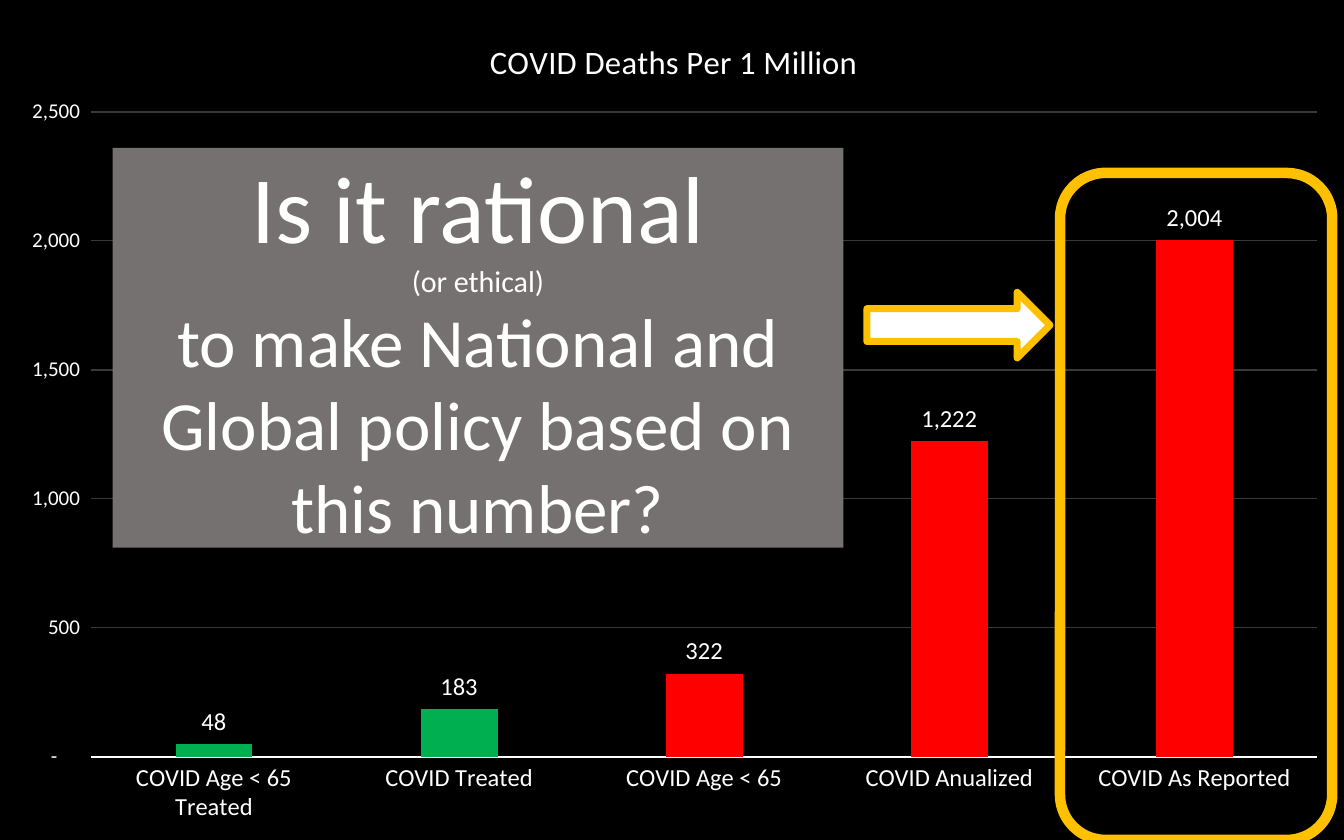
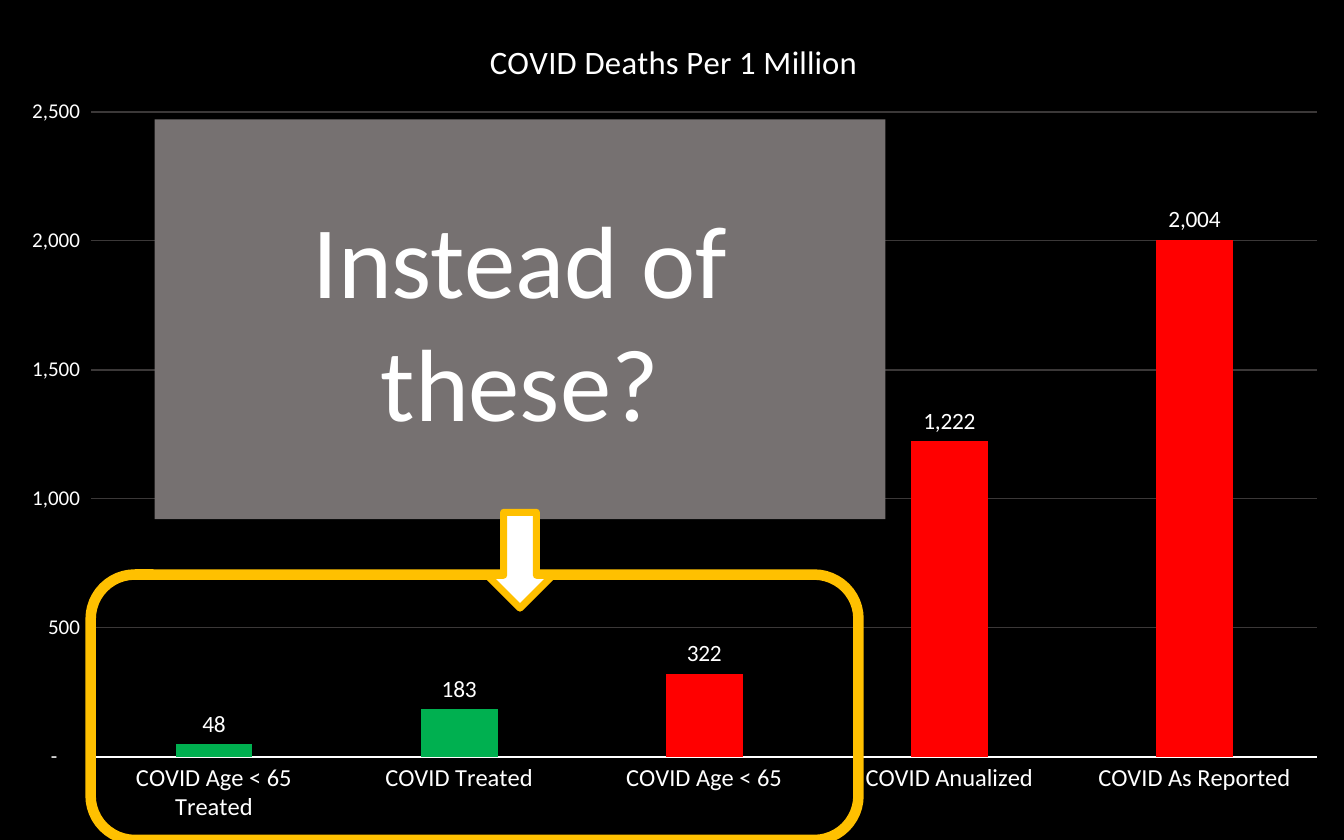
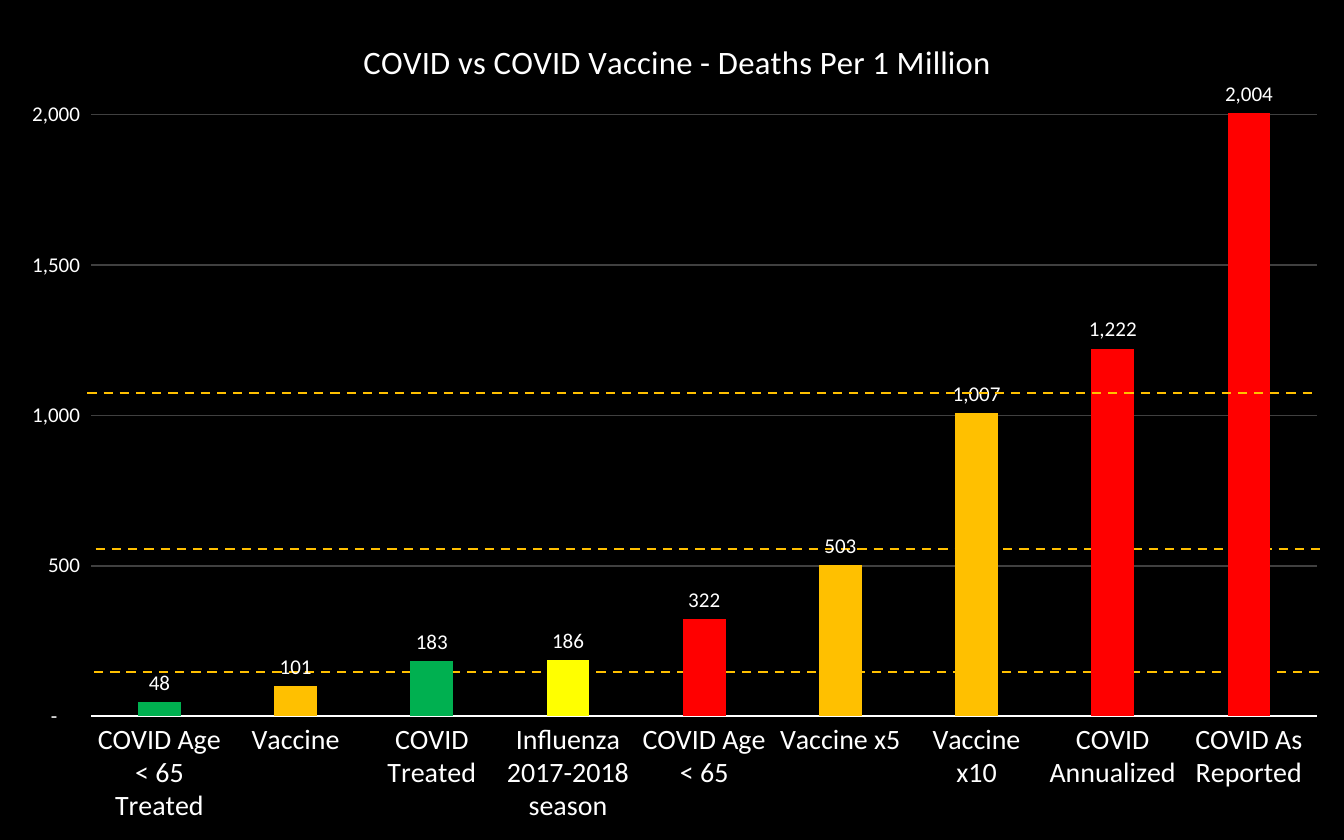
"""Three dark slides of column charts with call-outs."""
from dataclasses import dataclass, replace

from pptx import Presentation
from pptx.chart import data
from pptx.dml.color import RGBColor
from pptx.enum import chart as ch, dml, shapes, text
from pptx.oxml import ns, parse_xml
from pptx.util import Inches, Length, Pt

BLACK = RGBColor(0, 0, 0)
WHITE = RGBColor(255, 255, 255)
GREY = RGBColor(0x76, 0x71, 0x71)
DIM = RGBColor(0x3B, 0x38, 0x38)
SLATE = RGBColor(0x40, 0x40, 0x40)
RED = RGBColor(255, 0, 0)
GREEN = RGBColor(0, 0xB0, 0x50)
GOLD = RGBColor(255, 0xC0, 0)
YELLOW = RGBColor(255, 255, 0)
FONT = "Calibri"
COUNT = '_(* #,##0_);_(* \\(#,##0\\);_(* "-"??_);_('
COLS, ROWS = 8, 5
WIDE, HIGH = Inches(8), Inches(5)
KIND = shapes.MSO_SHAPE


@dataclass(frozen=True)
class Bar:
    """One column of a chart."""
    name: str
    value: int
    color: RGBColor = RED


@dataclass(frozen=True)
class Graph:
    """A full-slide column chart; plot and title are shares of its size."""
    title: str
    bars: tuple[Bar, ...]
    top: int
    start: float
    depth: float
    grid: RGBColor = DIM
    names: float = 10.5
    labels: float = 10.5


@dataclass(frozen=True)
class Box:
    """A preset shape placed in grid columns and rows."""
    kind: KIND
    col: float
    row: float
    cols: float
    rows: float
    fill: RGBColor | None = None
    edge: float = 0
    turn: int = 0
    lines: tuple[tuple[str, float], ...] = ()


@dataclass(frozen=True)
class Rule:
    """A dashed level line."""
    col: float
    row: float
    cols: float = 7.31


def across(cols: float) -> Length:
    """Turn columns into a length."""
    return Length(round(WIDE * cols / COLS))


def down(rows: float) -> Length:
    """Turn rows into a length."""
    return Length(round(HIGH * rows / ROWS))


def style(font, size: float, color: RGBColor = WHITE) -> None:
    """Format one font."""
    font.name, font.size, font.bold = FONT, Pt(size), False
    font.color.rgb = color


def write(para, words: str, *, size: float, color: RGBColor = WHITE,
          align=text.PP_ALIGN.CENTER) -> None:
    """Put formatted words in a paragraph."""
    para.alignment = align
    run = para.add_run()
    run.text = words
    style(run.font, size, color)


def layout(**share: float):
    """Make a manual chart layout from shares of the chart."""
    inner = '<c:layoutTarget val="inner"/>' if "w" in share else ""
    modes = "".join(f'<c:{key}Mode val="edge"/>' for key in "xy")
    sizes = "".join(f'<c:{key} val="{val}"/>' for key, val in share.items())
    return parse_xml(f'<c:layout {ns.nsdecls("c")}><c:manualLayout>'
                     f'{inner}{modes}{sizes}</c:manualLayout></c:layout>')


def settle(parent, index: int, **share: float) -> None:
    """Replace the layout of a chart part."""
    for old in parent.findall(ns.qn("c:layout")):
        parent.remove(old)
    parent.insert(index, layout(**share))


def plot(slide, graph: Graph) -> None:
    """Draw a column chart over the whole slide."""
    table = data.CategoryChartData()
    table.categories = [bar.name for bar in graph.bars]
    table.add_series("Series 1", [bar.value for bar in graph.bars])
    chart = slide.shapes.add_chart(ch.XL_CHART_TYPE.COLUMN_CLUSTERED,
                                   0, 0, WIDE, HIGH, table).chart
    style(chart.font, 10)
    chart.has_legend = False
    chart.has_title = True
    write(chart.chart_title.text_frame.paragraphs[0], graph.title, size=14)
    space = chart._chartSpace
    settle(space.chart.find(ns.qn("c:title")), 1, x=graph.start, y=0.04)
    settle(space.chart.plotArea, 0, x=0.068, y=0.133, w=0.912, h=graph.depth)
    space.chart.addnext(parse_xml(
        f'<c:spPr {ns.nsdecls("c", "a")}><a:noFill/>'
        '<a:ln><a:noFill/></a:ln></c:spPr>'))

    names, scale = chart.category_axis, chart.value_axis
    for axis, size in ((names, graph.names), (scale, 9)):
        axis.major_tick_mark = axis.minor_tick_mark = ch.XL_TICK_MARK.NONE
        style(axis.tick_labels.font, size)
    stroke(names.format.line, WHITE, 0.75)
    scale.format.line.fill.background()
    stroke(scale.major_gridlines.format.line, graph.grid, 0.75)
    scale.minimum_scale, scale.maximum_scale = 0, graph.top
    scale.major_unit = 500
    scale.tick_labels.number_format = COUNT
    scale.tick_labels.number_format_is_linked = False

    body = chart.plots[0]
    body.gap_width, body.overlap, body.vary_by_categories = 219, -27, False
    series = body.series[0]
    paint(series.format.fill, RED)
    for index, bar in enumerate(graph.bars):
        if bar.color != RED:
            paint(series.points[index].format.fill, bar.color)
    marks = series.data_labels
    marks.show_value = True
    marks.position = ch.XL_LABEL_POSITION.OUTSIDE_END
    marks.number_format, marks.number_format_is_linked = COUNT, False
    style(marks.font, graph.labels)


def paint(fill, color: RGBColor | None) -> None:
    """Set a solid fill or none."""
    if color is None:
        fill.background()
    else:
        fill.solid()
        fill.fore_color.rgb = color


def stroke(line, color: RGBColor, width: float) -> None:
    """Set line colour and width."""
    paint(line.fill, color)
    line.width = Pt(width)


def place(slide, box: Box) -> None:
    """Draw a shape with its text."""
    shape = slide.shapes.add_shape(box.kind, across(box.col), down(box.row),
                                   across(box.cols), down(box.rows))
    shape.shadow.inherit = False
    shape.rotation = box.turn
    paint(shape.fill, box.fill)
    if box.edge:
        stroke(shape.line, GOLD, box.edge)
    else:
        shape.line.fill.background()
    frame = shape.text_frame
    frame.word_wrap = True
    frame.vertical_anchor = text.MSO_ANCHOR.MIDDLE
    for index, (words, size) in enumerate(box.lines):
        para = frame.add_paragraph() if index else frame.paragraphs[0]
        write(para, words, size=size)


def trace(slide, rule: Rule) -> None:
    """Draw a dashed level line."""
    row = down(rule.row)
    line = slide.shapes.add_connector(
        shapes.MSO_CONNECTOR.STRAIGHT, across(rule.col), row,
        across(rule.col + rule.cols), row)
    stroke(line.line, GOLD, 1)
    line.line.dash_style = dml.MSO_LINE.DASH
    line._element.spPr.append(
        parse_xml(f'<a:effectLst {ns.nsdecls("a")}/>'))


def panel(col: float, row: float, *lines: tuple[str, float]) -> Box:
    """Make a grey question panel."""
    return Box(KIND.RECTANGLE, col, row, 4.35, 2.38, GREY, lines=lines)


def ring(col: float, row: float, cols: float) -> Box:
    """Make a gold frame that reaches the foot of the slide."""
    return Box(KIND.ROUNDED_RECTANGLE, col, row, cols, ROWS - row, edge=4.5)


def arrow(col: float, row: float, cols: float, turn: int = 0) -> Box:
    """Make a white arrow with a gold edge."""
    return Box(KIND.RIGHT_ARROW, col, row, cols, 0.39, WHITE, 3, turn)


YOUNG = Bar("COVID Age < 65 Treated", 48, GREEN)
CURED = Bar("COVID Treated", 183, GREEN)
UNDER = Bar("COVID Age < 65", 322)
TOTAL = Bar("COVID As Reported", 2004)
DEATHS = Graph("COVID Deaths Per 1 Million",
               (YOUNG, CURED, UNDER, Bar("COVID Anualized", 1222), TOTAL),
               top=2500, start=0.36, depth=0.768)
SHOTS = Graph("COVID vs COVID Vaccine - Deaths Per 1 Million",
              (YOUNG, Bar("Vaccine", 101, GOLD), CURED,
               Bar("Influenza 2017-2018 season", 186, YELLOW), UNDER,
               Bar("Vaccine x5", 503, GOLD), Bar("Vaccine x10", 1007, GOLD),
               Bar("COVID Annualized", 1222), TOTAL),
              top=2010, start=0.266, depth=0.72, grid=SLATE,
              names=12, labels=9)
DECK = (
    (DEATHS,
     panel(0.67, 0.88, ("Is it rational", 40.7), ("(or ethical)", 12.9),
           ("to make National and Global policy based on this number?",
            29.6)),
     ring(6.31, 1.03, 1.62), arrow(5.16, 1.74, 1.09)),
    (replace(DEATHS, labels=10),
     panel(0.92, 0.71, ("Instead of these?", 44)),
     ring(0.54, 3.42, 4.57), arrow(2.81, 3.14, 0.57, 90)),
    (Rule(0.56, 4), Rule(0.57, 3.27), SHOTS, Rule(0.52, 2.34)),
)
DRAW = {Graph: plot, Box: place, Rule: trace}


def main() -> None:
    """Build and save the deck."""
    deck = Presentation()
    deck.slide_width, deck.slide_height = WIDE, HIGH
    for items in DECK:
        slide = deck.slides.add_slide(deck.slide_layouts[6])
        paint(slide.background.fill, BLACK)
        for item in items:
            DRAW[type(item)](slide, item)
    deck.save("out.pptx")


main()
